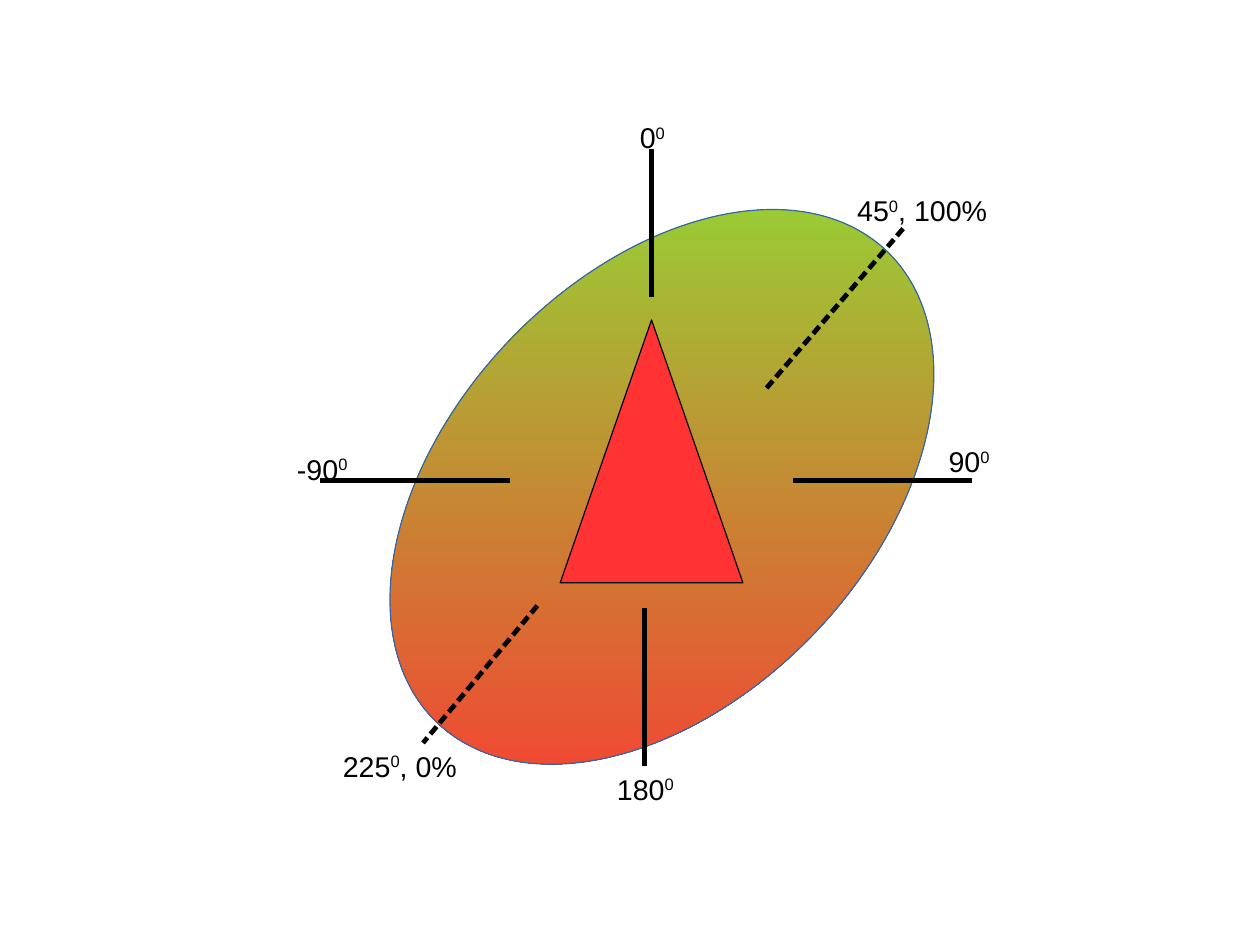
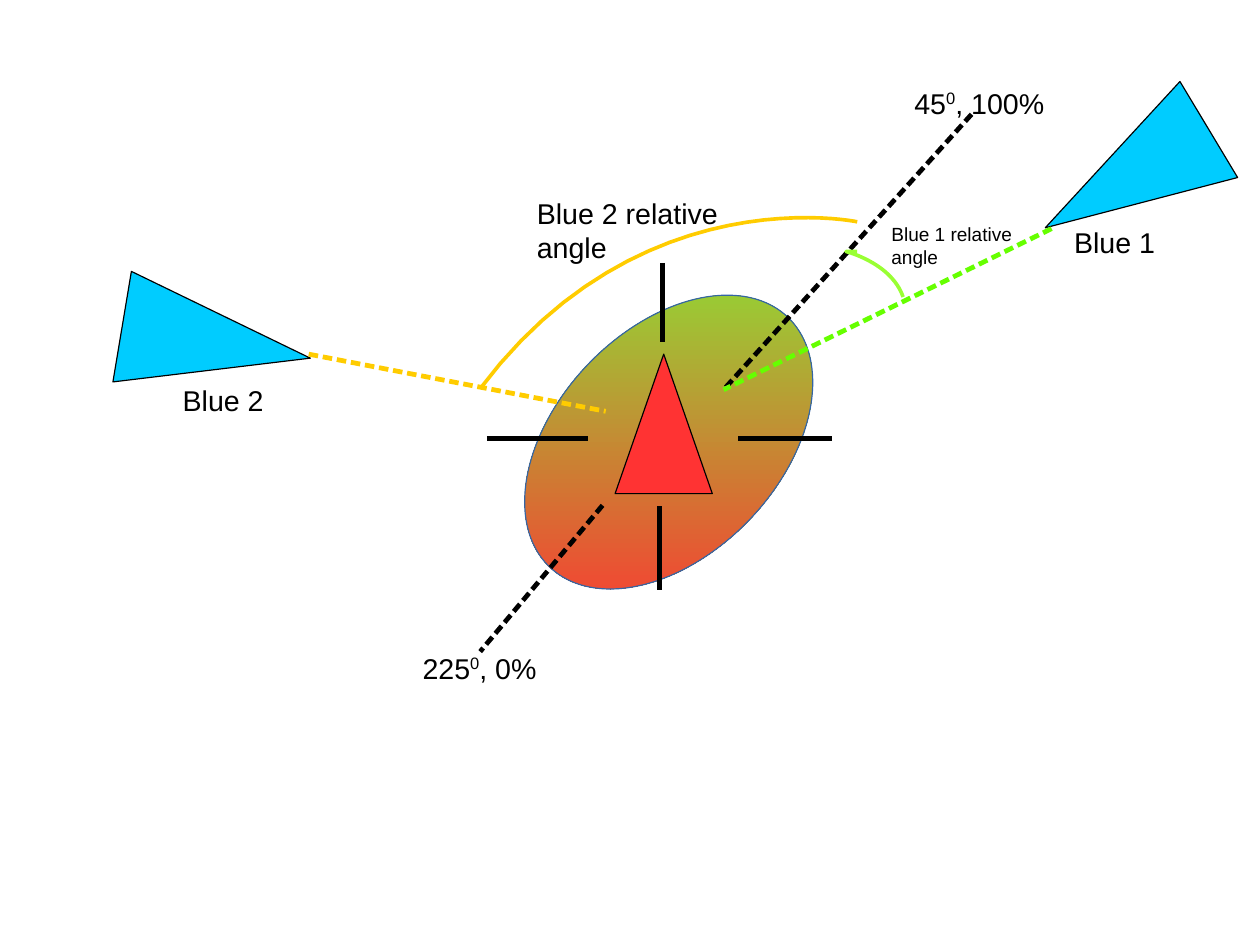
import pptx
import pptx.dml.color
import pptx.enum.shapes
import pptx.enum.text
import pptx.oxml
import pptx.oxml.ns
import pptx.util
from dataclasses import dataclass
from pptx.util import Cm, Pt


@dataclass(frozen=True)
class Theme:
    font: str = "Arial"
    label_size: int = 18
    small_size: int = 12
    line_width: float = 3
    arc_width: float = 2.3
    black: str = "000000"
    zone_top: str = "8AE234"
    zone_bottom: str = "FF3333"
    zone_edge: str = "3465A4"
    red: str = "FF3333"
    blue: str = "00CCFF"
    blue1_ray: str = "66FF00"
    blue1_arc: str = "99FF33"
    blue2: str = "FFCC00"


THEME = Theme()
SHAPES = pptx.enum.shapes.MSO_SHAPE
ZONE_ROTATION = 43.6
CURVE_STEPS = 24

# Content: boxes are (left, top, width, height), all lengths in centimetres.
# A label's text pieces alternate between normal and superscript.
BEST = ("45", "0", ", 100%")
WORST = ("225", "0", ", 0%")
SLIDES = [
    {
        "zone": (10.01, 3.58, 9.4, 14.48),
        "red": (12.45, 7.11, 4.06, 5.84),
        "axes": [
            (14.48, 3.3, 14.48, 6.6),
            (17.63, 10.67, 21.59, 10.67),
            (7.11, 10.67, 11.33, 10.67),
            (14.33, 13.51, 14.33, 17.02),
        ],
        "rays": [
            (20.07, 5.08, 17.02, 8.64, THEME.black),
            (11.94, 13.46, 9.4, 16.51, THEME.black),
        ],
        "blues": [],
        "labels": [
            (("0", "0"), (13.97, 2.54, 1.27, 0.97), THEME.label_size),
            (("90", "0"), (20.83, 9.75, 1.78, 1.68), THEME.label_size),
            (("-90", "0"), (6.35, 9.91, 1.78, 1.68), THEME.label_size),
            (("180", "0"), (13.46, 17.02, 2.29, 1.68), THEME.label_size),
            (BEST, (18.8, 4.17, 3.56, 1.42), THEME.label_size),
            (WORST, (7.37, 16.51, 4.06, 1.68), THEME.label_size),
        ],
        "arcs": [],
    },
    {
        "zone": (12.37, 5.99, 4.98, 7.67),
        "red": (13.67, 7.87, 2.16, 3.1),
        "axes": [
            (14.73, 5.84, 14.73, 7.59),
            (16.41, 9.75, 18.49, 9.75),
            (10.82, 9.75, 13.06, 9.75),
            (14.66, 11.25, 14.66, 13.11),
        ],
        "rays": [
            (21.59, 2.54, 16.08, 8.66, THEME.black),
            (13.39, 11.23, 10.67, 14.48, THEME.black),
            (23.37, 5.08, 16.08, 8.66, THEME.blue1_ray),
            (6.86, 7.87, 13.46, 9.14, THEME.blue2),
        ],
        "blues": [
            ((3.56, 5.49, 2.49, 4.24), 99.5),
            ((23.8, 1.85, 2.49, 4.24), 239),
        ],
        "labels": [
            (BEST, (20.07, 1.78, 3.56, 1.42), THEME.label_size),
            (WORST, (9.14, 14.33, 4.06, 1.68), THEME.label_size),
            (("Blue 1",), (23.62, 4.88, 3.3, 0.97), THEME.label_size),
            (("Blue 2",), (3.81, 8.38, 3.3, 0.97), THEME.label_size),
            (("Blue 2 relative\nangle",), (11.68, 4.22, 6.86, 2.39), THEME.label_size),
            (("Blue 1 relative\nangle",), (19.56, 4.83, 6.86, 2.39), THEME.small_size),
        ],
        # Four Bezier points, then any straight continuation
        "arcs": [
            ([(10.67, 8.64), (14.22, 3.91), (19.05, 4.93), (19.05, 4.93)],
             [], THEME.blue2),
            ([(20.07, 6.6), (19.81, 5.84), (18.8, 5.59), (18.8, 5.59)],
             [(19.05, 5.59)], THEME.blue1_arc),
        ],
    },
]


def rgb(value):
    return pptx.dml.color.RGBColor.from_string(value)


def lengths(values):
    return [Cm(value) for value in values]


def style_line(line, color, width):
    line.color.rgb = rgb(color)
    line.width = Pt(width)


def add_filled(slide, preset, box, edge, fill=None, rotation=0):
    """Add a thin-edged shape; without a fill colour it gets the zone gradient."""
    shape = slide.shapes.add_shape(preset, *lengths(box))
    shape.rotation = rotation
    shape.shadow.inherit = False
    style_line(shape.line, edge, 0)
    if fill:
        shape.fill.solid()
        shape.fill.fore_color.rgb = rgb(fill)
        return
    shape.fill.gradient()
    shape.fill.gradient_angle = 270
    stops = shape.fill.gradient_stops
    for stop, color in zip(stops, (THEME.zone_top, THEME.zone_bottom)):
        stop.color.rgb = rgb(color)
    stops[0].position, stops[1].position = 0, 1
    # Keep the gradient upright while the ellipse is turned
    gradient = shape._element.spPr.find(pptx.oxml.ns.qn("a:gradFill"))
    gradient.set("rotWithShape", "0")


def add_line(slide, ends, color, dashed=False):
    connector = slide.shapes.add_connector(
        pptx.enum.shapes.MSO_CONNECTOR.STRAIGHT, *lengths(ends))
    style_line(connector.line, color, THEME.line_width)
    properties = connector._element.spPr
    if dashed:
        properties.find(pptx.oxml.ns.qn("a:ln")).append(pptx.oxml.parse_xml(
            f'<a:custDash {pptx.oxml.ns.nsdecls("a")}>'
            '<a:ds d="200000" sp="100000"/></a:custDash>'))
    properties.append(pptx.oxml.parse_xml(
        f'<a:effectLst {pptx.oxml.ns.nsdecls("a")}/>'))


def add_label(slide, pieces, box, size):
    frame = slide.shapes.add_textbox(*lengths(box)).text_frame
    frame.word_wrap = True
    frame.auto_size = pptx.enum.text.MSO_AUTO_SIZE.SHAPE_TO_FIT_TEXT
    paragraph = frame.paragraphs[0]
    paragraph.font.name = THEME.font
    paragraph.font.size = Pt(size)
    paragraph.font.color.rgb = rgb(THEME.black)
    for index, piece in enumerate(pieces):
        for row, text in enumerate(piece.split("\n")):
            if row:
                paragraph.add_line_break()
            run = paragraph.add_run()
            run.text = text
            if index % 2:
                run.font._element.set("baseline", "33000")


def curve_point(points, t):
    weights = ((1 - t) ** 3, 3 * t * (1 - t) ** 2, 3 * t * t * (1 - t), t ** 3)
    return tuple(sum(weight * point[axis] for weight, point in zip(weights, points))
                 for axis in (0, 1))


def add_arc(slide, bezier, tail, color):
    points = [curve_point(bezier, step / CURVE_STEPS)
              for step in range(CURVE_STEPS + 1)] + tail
    start, *rest = [lengths(point) for point in points]
    builder = slide.shapes.build_freeform(*start)
    builder.add_line_segments(rest, close=False)
    arc = builder.convert_to_shape()
    arc.shadow.inherit = False
    arc.fill.background()
    style_line(arc.line, color, THEME.arc_width)


def add_diagram(presentation, content):
    slide = presentation.slides.add_slide(presentation.slide_layouts[6])
    # Detection zone and the craft
    add_filled(slide, SHAPES.OVAL, content["zone"], THEME.zone_edge,
               rotation=ZONE_ROTATION)
    triangles = [(content["red"], 0, THEME.red)]
    triangles += [(box, rotation, THEME.blue) for box, rotation in content["blues"]]
    for box, rotation, fill in triangles:
        add_filled(slide, SHAPES.ISOSCELES_TRIANGLE, box, THEME.black, fill, rotation)
    # Axes and dashed rays
    for ends in content["axes"]:
        add_line(slide, ends, THEME.black)
    for *ends, color in content["rays"]:
        add_line(slide, ends, color, dashed=True)
    # Labels and angle arcs
    for label in content["labels"]:
        add_label(slide, *label)
    for arc in content["arcs"]:
        add_arc(slide, *arc)


def main():
    presentation = pptx.Presentation()
    presentation.slide_width, presentation.slide_height = Cm(28), Cm(21)
    for content in SLIDES:
        add_diagram(presentation, content)
    presentation.save("out.pptx")


if __name__ == "__main__":
    main()
